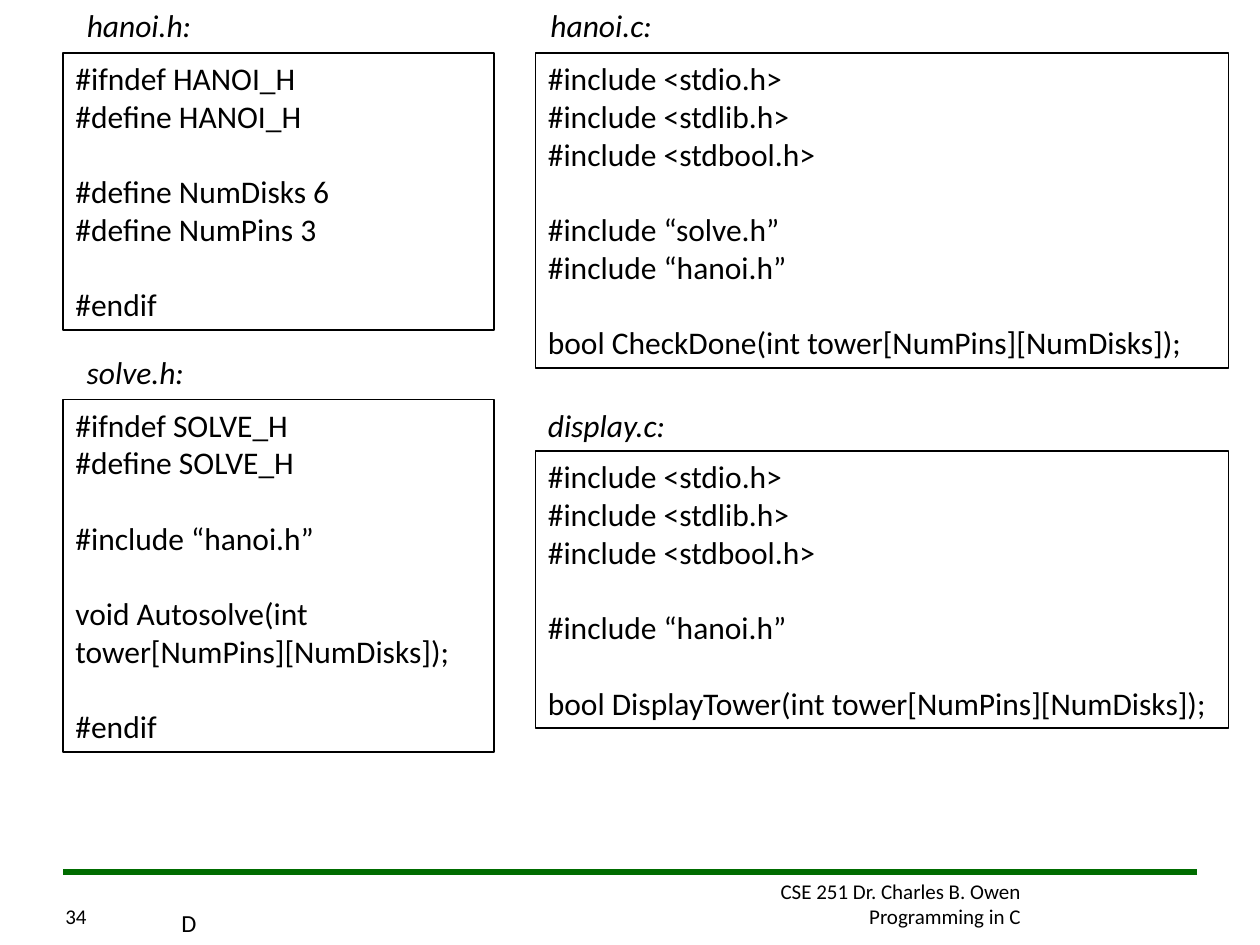
from dataclasses import dataclass

from lxml import etree
from pptx import Presentation
from pptx.dml.color import RGBColor
from pptx.enum.shapes import MSO_CONNECTOR, MSO_SHAPE
from pptx.enum.text import MSO_ANCHOR, PP_ALIGN
from pptx.oxml.ns import qn
from pptx.util import Inches, Pt

STRAIGHT = MSO_CONNECTOR.STRAIGHT
RECTANGLE = MSO_SHAPE.RECTANGLE
TOP = MSO_ANCHOR.TOP
LEFT, RIGHT = PP_ALIGN.LEFT, PP_ALIGN.RIGHT


@dataclass(frozen=True)
class Theme:
    font: str = "Calibri"
    ink: RGBColor = RGBColor(0x00, 0x00, 0x00)
    rule: RGBColor = RGBColor(0x00, 0x6C, 0x00)
    code_size: Pt = Pt(18)
    mark_size: Pt = Pt(14)
    footer_size: Pt = Pt(12)
    code_line: Pt = Pt(21.5)


THEME = Theme()


def write(frame, text, size, align=LEFT, italic=False, wrap=True):
    frame.text = text
    frame.word_wrap = wrap
    frame.vertical_anchor = TOP
    for paragraph in frame.paragraphs:
        paragraph.alignment = align
        for run in paragraph.runs:
            run.font.name = THEME.font
            run.font.size = size
            run.font.italic = italic
            run.font.color.rgb = THEME.ink


def add_text(left, top, width, height, text, size, **style):
    box = slide.shapes.add_textbox(
        Inches(left), Inches(top), Inches(width), Inches(height))
    write(box.text_frame, text, size, **style)


prs = Presentation()
prs.slide_width, prs.slide_height = Inches(10), Inches(7.5)
blank_layout = prs.slide_layouts[6]
slide = prs.slides.add_slide(blank_layout)

# Footer: course, green rule, page number
add_text(4.83, 6.92, 3.37, 0.5, "CSE 251 Dr. Charles B. Owen\nProgramming in C",
         THEME.footer_size, align=RIGHT)
footer_rule = slide.shapes.add_connector(
    STRAIGHT, Inches(9.5), Inches(6.92), Inches(0.5), Inches(6.92))
footer_rule.line.color.rgb = THEME.rule
footer_rule.line.width = Pt(3)
etree.SubElement(footer_rule._element.spPr, qn("a:effectLst"))
add_text(0.42, 7.12, 0.4, 0.3, "34", THEME.footer_size)

# Source files: name, name position and width, box position and size, code groups
SOURCES = [
    ("hanoi.h:", (0.59, 0, 1.05), (0.5, 0.42, 3.42, 2.2), [
        ["#ifndef HANOI_H", "#define HANOI_H"],
        ["#define NumDisks 6", "#define NumPins 3"],
        ["#endif"]]),
    ("hanoi.c:", (4.27, 0, 1.05), (4.25, 0.42, 5.5, 2.5), [
        ["#include <stdio.h>", "#include <stdlib.h>", "#include <stdbool.h>"],
        ["#include “solve.h”", "#include “hanoi.h”"],
        ["bool CheckDone(int tower[NumPins][NumDisks]);"]]),
    ("solve.h:", (0.59, 2.75, 1), (0.5, 3.17, 3.42, 2.8), [
        ["#ifndef SOLVE_H", "#define SOLVE_H"],
        ["#include “hanoi.h”"],
        ["void Autosolve(int tower[NumPins][NumDisks]);"],
        ["#endif"]]),
    ("display.c:", (4.25, 3.17, 1.2), (4.25, 3.58, 5.5, 2.2), [
        ["#include <stdio.h>", "#include <stdlib.h>", "#include <stdbool.h>"],
        ["#include “hanoi.h”"],
        ["bool DisplayTower(int tower[NumPins][NumDisks]);"]]),
]

for file_name, name_place, code_place, groups in SOURCES:
    code_box = slide.shapes.add_shape(
        RECTANGLE, *(Inches(length) for length in code_place))
    code_box.shadow.inherit = False
    code_box.fill.background()
    code_box.line.color.rgb = THEME.ink
    code_box.line.width = Pt(1)
    code = "\n".join(line for group in groups for line in group)
    write(code_box.text_frame, code, THEME.code_size)

    # Each group after the first starts one line lower
    group_start = 0
    for group in groups[:-1]:
        group_start += len(group)
        code_box.text_frame.paragraphs[group_start].space_before = THEME.code_line

    add_text(*name_place, 0.4, file_name, THEME.code_size, italic=True, wrap=False)

# Letter mark beside the page number
add_text(1.34, 7.16, 0.32, 0.34, "D", THEME.mark_size, wrap=False)

prs.save("out.pptx")
